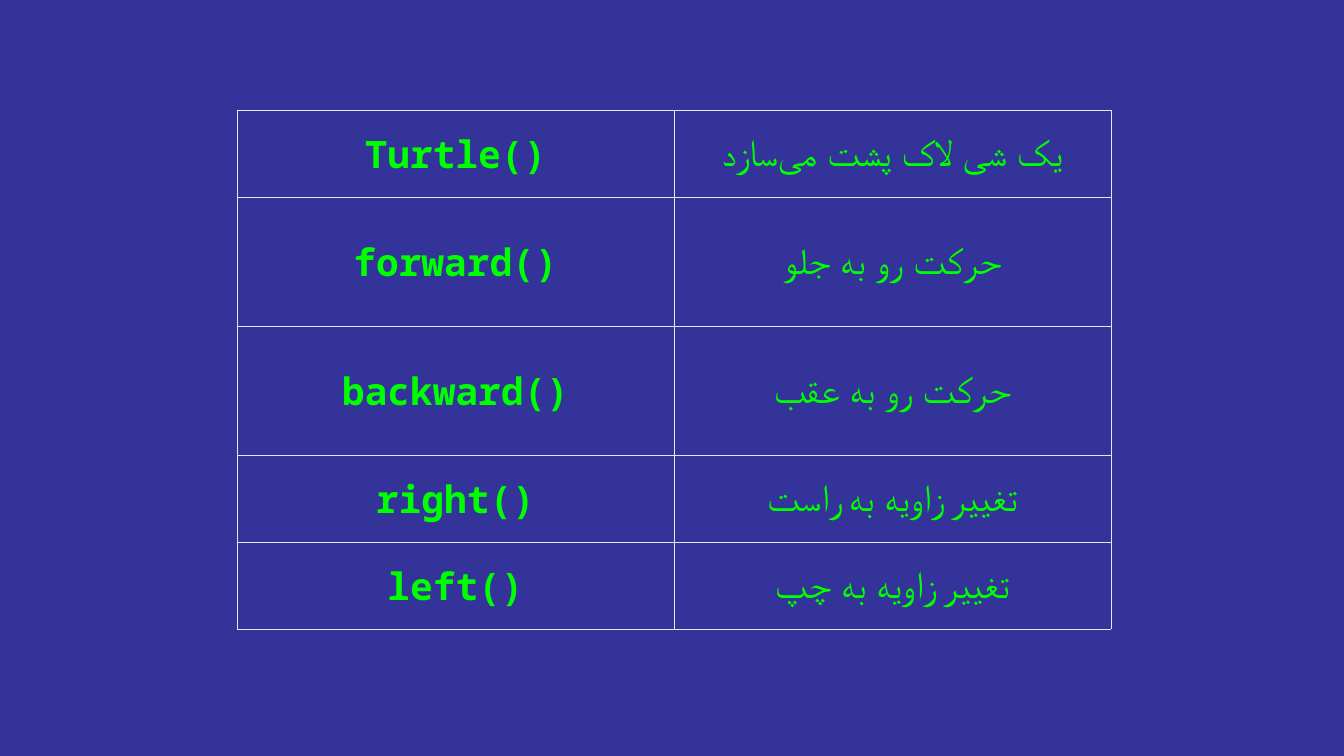
from dataclasses import dataclass

from lxml.etree import SubElement
from pptx import Presentation
from pptx.dml.color import RGBColor
from pptx.enum.text import MSO_VERTICAL_ANCHOR as Anchor, PP_PARAGRAPH_ALIGNMENT as Align
from pptx.oxml import parse_xml
from pptx.oxml.ns import nsdecls, qn
from pptx.util import Emu, Pt

EMU_PER_PX = 914400 / 75.6
NON_JOINER = chr(0x200C)  # Persian half-space


@dataclass(frozen=True)
class Theme:
    background: str = "333399"
    text: str = "00FF00"
    border: str = "DAEDEF"
    border_width: int = 1
    size: int = 36
    code_font: str = "Noto Sans Mono"
    persian_font: str = "Arial"


THEME = Theme()

# Each method with its meaning and its row height in px
METHODS = [
    ("Turtle()", f"یک شی لاک پشت می{NON_JOINER}سازد", 87),
    ("forward()", "حرکت رو به جلو", 129),
    ("backward()", "حرکت رو به عقب", 129),
    ("right()", "تغییر زاویه به راست", 87),
    ("left()", "تغییر زاویه به چپ", 87),
]


def px(length):
    return Emu(round(length * EMU_PER_PX))


def write_text(text_frame, text, *, font, bold=False, rtl=False):
    paragraph = text_frame.paragraphs[0]
    paragraph.alignment = Align.CENTER
    if rtl:
        paragraph._p.get_or_add_pPr().set("rtl", "1")
    run = paragraph.add_run()
    run.text = text
    run.font.size = Pt(THEME.size)
    run.font.bold = bold
    run.font.color.rgb = RGBColor.from_string(THEME.text)
    run.font.name = font
    # Arabic letters take the complex-script font
    SubElement(run._r.get_or_add_rPr(), qn("a:cs"), typeface=font)


def add_borders(cell):
    properties = cell._tc.get_or_add_tcPr()
    for index, side in enumerate(("lnL", "lnR", "lnT", "lnB")):
        line = parse_xml(
            f'<a:{side} {nsdecls("a")} w="{Pt(THEME.border_width)}">'
            f'<a:solidFill><a:srgbClr val="{THEME.border}"/></a:solidFill></a:{side}>'
        )
        properties.insert(index, line)


def format_cell(cell):
    cell.vertical_anchor = Anchor.MIDDLE
    cell.margin_left = cell.margin_right = px(1)
    cell.margin_top = cell.margin_bottom = px(1)
    cell.fill.background()
    add_borders(cell)


def add_method_table(slide, left, top, column_width):
    height = sum(row_height for _, _, row_height in METHODS)
    frame = slide.shapes.add_table(
        len(METHODS), 2, px(left), px(top), px(2 * column_width), px(height)
    )
    table = frame.table
    table.first_row = table.horz_banding = False
    for column in table.columns:
        column.width = px(column_width)

    for row, (method, meaning, row_height) in zip(table.rows, METHODS):
        row.height = px(row_height)
        method_cell, meaning_cell = row.cells
        for cell in (method_cell, meaning_cell):
            format_cell(cell)
        write_text(method_cell.text_frame, method, font=THEME.code_font, bold=True)
        write_text(meaning_cell.text_frame, meaning, font=THEME.persian_font, rtl=True)


def main():
    presentation = Presentation()
    presentation.slide_width = px(1344)
    presentation.slide_height = px(756)
    slide = presentation.slides.add_slide(presentation.slide_layouts[6])

    # Background
    fill = slide.background.fill
    fill.solid()
    fill.fore_color.rgb = RGBColor.from_string(THEME.background)

    # Turtle methods and their meanings
    add_method_table(slide, left=237, top=110, column_width=437)

    presentation.save("out.pptx")


if __name__ == "__main__":
    main()
